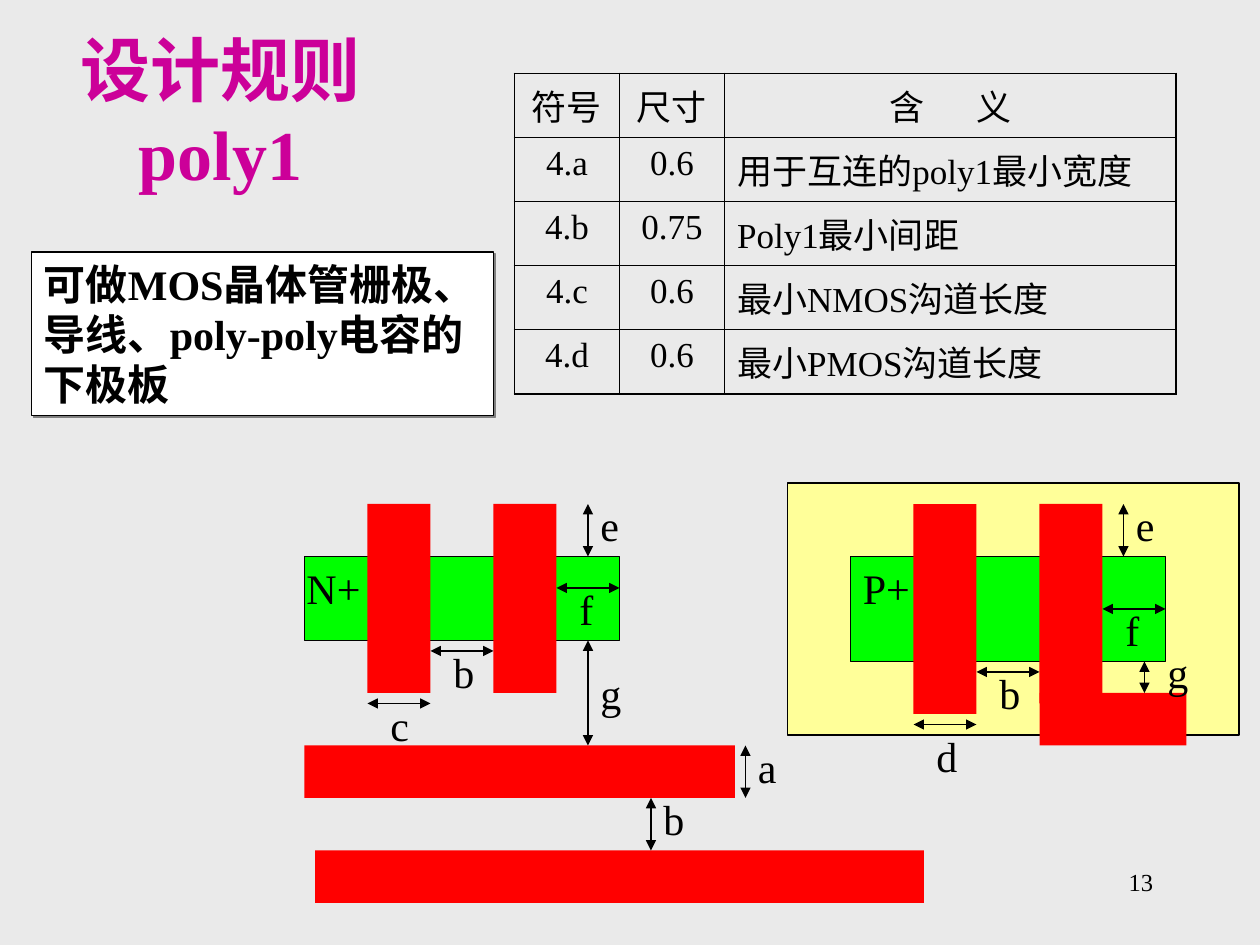
"""Build the poly1 design rule slide with its rule table and layout diagram."""
from dataclasses import dataclass

from lxml import etree
from pptx import Presentation
from pptx import util as u
from pptx.dml.color import RGBColor
from pptx.enum import shapes, text
from pptx.oxml import ns


@dataclass(frozen=True)
class Theme:
    font: str = "Times New Roman"
    ink: str = "000000"
    background: str = "EAEAEA"
    title: str = "CC0099"
    note: str = "FFFFFF"
    shadow: str = "808080"
    well: str = "FFFF99"
    active: str = "00FF00"
    poly: str = "FF0000"
    title_size: float = 40
    label_size: float = 24
    table_size: float = 20
    number_size: float = 14
    line: float = 0.75
    inner_border: float = 0.45
    outer_border: float = 1.08


THEME = Theme()
CENTER, LEFT, RIGHT = text.PP_ALIGN.CENTER, text.PP_ALIGN.LEFT, text.PP_ALIGN.RIGHT

TITLE = ["设计规则", "poly1"]
NOTE = "可做MOS晶体管栅极、导线、poly-poly电容的下极板"
PAGE = "13"
RULES = [
    ("符号", "尺寸", "含 义"),
    ("4.a", "0.6", "用于互连的poly1最小宽度"),
    ("4.b", "0.75", "Poly1最小间距"),
    ("4.c", "0.6", "最小NMOS沟道长度"),
    ("4.d", "0.6", "最小PMOS沟道长度"),
]
COLUMNS, ROW_HEIGHT, HEADER_GAP = (60, 60, 258), 36.6, 25

WELL = (450, 276, 258, 144)
ACTIVE_AREAS = [(174, 318, 180, 48), (486, 318, 180, 60)]
POLY_BARS = [
    (210, 288, 36, 108), (282, 288, 36, 108),
    (522, 288, 36, 120), (594, 288, 36, 114), (594, 396, 84, 30),
    (174, 426, 246, 30), (180, 486, 348, 30),
]
# Each dimension: arrow left, top, run across, run down, label, label left, label top.
DIMENSIONS = [
    (336, 288, 0, 30, "e", 336, 282), (318, 336, 36, 0, "f", 324, 330),
    (246, 372, 36, 0, "b", 252, 366), (210, 402, 36, 0, "c", 216, 396),
    (336, 366, 0, 60, "g", 336, 378), (426, 426, 0, 30, "a", 426, 420),
    (372, 456, 0, 30, "b", 372, 450),
    (642, 288, 0, 30, "e", 642, 282), (630, 348, 36, 0, "f", 636, 342),
    (558, 384, 36, 0, "b", 564, 378), (522, 414, 36, 0, "d", 528, 414),
    (654, 378, 0, 18, "g", 660, 366),
]
REGIONS = [("N+", 168, 318), ("P+", 486, 318)]


def points(values):
    return [u.Pt(value) for value in values]


def rgb(color):
    return RGBColor.from_string(color)


def child(parent, tag, **attributes):
    return etree.SubElement(parent, ns.qn(tag), attributes)


def write(paragraph, words, size, color=THEME.ink, bold=False):
    run = paragraph.add_run()
    run.text = words
    run.font.name, run.font.size, run.font.bold = THEME.font, u.Pt(size), bold
    run.font.color.rgb = rgb(color)
    return run


def add_text(parent, box, words, size, align=LEFT):
    frame = parent.add_textbox(*points(box)).text_frame
    frame.word_wrap = True
    frame.paragraphs[0].alignment = align
    write(frame.paragraphs[0], words, size)


def add_rectangle(parent, box, fill, outlined=True):
    shape = parent.add_shape(shapes.MSO_SHAPE.RECTANGLE, *points(box))
    shape.shadow.inherit = False
    shape.fill.solid()
    shape.fill.fore_color.rgb = rgb(fill)
    if outlined:
        shape.line.color.rgb = rgb(THEME.ink)
        shape.line.width = u.Pt(THEME.line)
    else:
        shape.line.fill.background()
    return shape


def add_arrow(parent, left, top, across, down):
    ends = points((left, top, left + across, top + down))
    arrow = parent.add_connector(shapes.MSO_CONNECTOR.STRAIGHT, *ends)
    arrow.line.color.rgb = rgb(THEME.ink)
    arrow.line.width = u.Pt(THEME.line)
    properties = arrow._element.spPr
    line = properties.find(ns.qn("a:ln"))
    child(line, "a:headEnd", type="triangle")
    child(line, "a:tailEnd", type="triangle")
    child(properties, "a:effectLst")


def add_title(slide):
    frame = slide.shapes.add_textbox(*points((12, 30, 228, 66))).text_frame
    frame.word_wrap = True
    frame.vertical_anchor = text.MSO_ANCHOR.MIDDLE
    paragraph = frame.paragraphs[0]
    paragraph.alignment = CENTER
    for index, words in enumerate(TITLE):
        if index:
            paragraph.add_line_break()
        write(paragraph, words, THEME.title_size, THEME.title, True)


def add_note(slide):
    shape = add_rectangle(slide.shapes, (18, 144, 264, 93.6), THEME.note)
    effects = shape._element.spPr.find(ns.qn("a:effectLst"))
    shadow = child(effects, "a:outerShdw", dist=str(u.Pt(1.4)), dir="2700000")
    child(shadow, "a:srgbClr", val=THEME.shadow)
    frame = shape.text_frame
    frame.word_wrap = True
    frame.vertical_anchor = text.MSO_ANCHOR.TOP
    frame.paragraphs[0].alignment = LEFT
    write(frame.paragraphs[0], NOTE, THEME.label_size, bold=True)


def set_borders(cell, outer_sides):
    properties = cell._tc.get_or_add_tcPr()
    for side, outer in zip("LRTB", outer_sides):
        width = THEME.outer_border if outer else THEME.inner_border
        line = child(properties, f"a:ln{side}", w=str(u.Pt(width)))
        child(child(line, "a:solidFill"), "a:srgbClr", val=THEME.ink)
    cell.fill.background()


def add_rules(slide):
    last_row, last_column = len(RULES) - 1, len(COLUMNS) - 1
    box = points((294, 42, sum(COLUMNS), ROW_HEIGHT * len(RULES)))
    table = slide.shapes.add_table(len(RULES), len(COLUMNS), *box).table
    table.first_row = table.horz_banding = False
    for column, width in zip(table.columns, COLUMNS):
        column.width = u.Pt(width)
    for r, rule in enumerate(RULES):
        table.rows[r].height = u.Pt(ROW_HEIGHT)
        for c, words in enumerate(rule):
            cell = table.cell(r, c)
            set_borders(cell, (c == 0, c == last_column, r == 0, r == last_row))
            paragraph = cell.text_frame.paragraphs[0]
            paragraph.alignment = LEFT if r and c == last_column else CENTER
            for part in words.partition(" "):
                if part:
                    run = write(paragraph, part, THEME.table_size)
                    if part == " ":
                        run.font._element.set("spc", str(HEADER_GAP * 100))


def add_diagram(slide):
    parent = slide.shapes.add_group_shape().shapes
    add_rectangle(parent, WELL, THEME.well)
    for box in ACTIVE_AREAS:
        add_rectangle(parent, box, THEME.active)
    for box in POLY_BARS:
        add_rectangle(parent, box, THEME.poly, outlined=False)
    for words, left, top in REGIONS:
        add_text(parent, (left, top, 54, 36), words, THEME.label_size)
    for *arrow, letter, left, top in DIMENSIONS:
        add_arrow(parent, *arrow)
        add_text(parent, (left, top, 30, 36), letter, THEME.label_size)


def main():
    presentation = Presentation()
    presentation.slide_width, presentation.slide_height = points((720, 540))
    slide = presentation.slides.add_slide(presentation.slide_layouts[6])
    slide.background.fill.solid()
    slide.background.fill.fore_color.rgb = rgb(THEME.background)
    add_text(slide.shapes, (516, 492, 150, 36), PAGE, THEME.number_size, RIGHT)
    add_title(slide)
    add_rules(slide)
    add_diagram(slide)
    add_note(slide)
    presentation.save("out.pptx")


if __name__ == "__main__":
    main()
